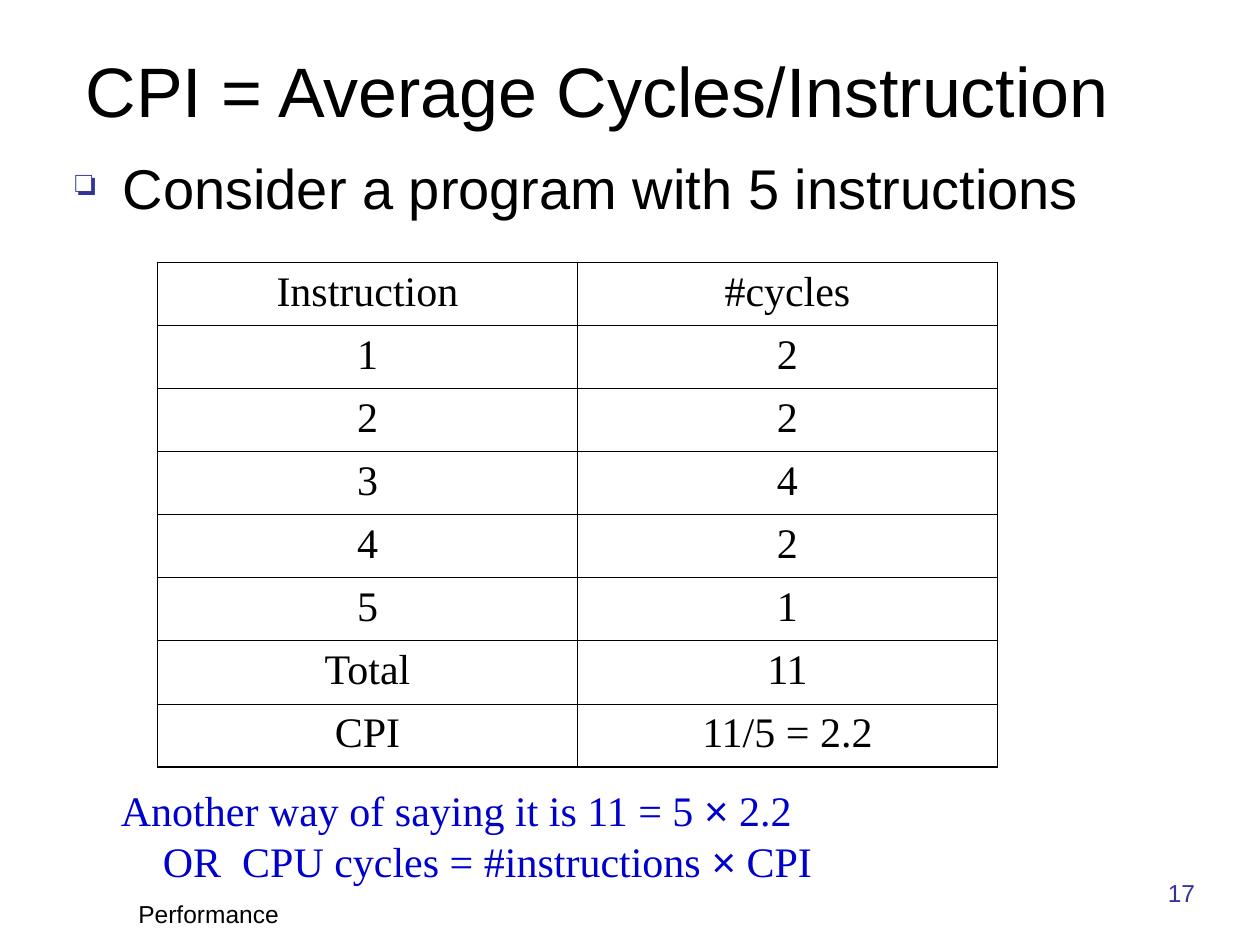
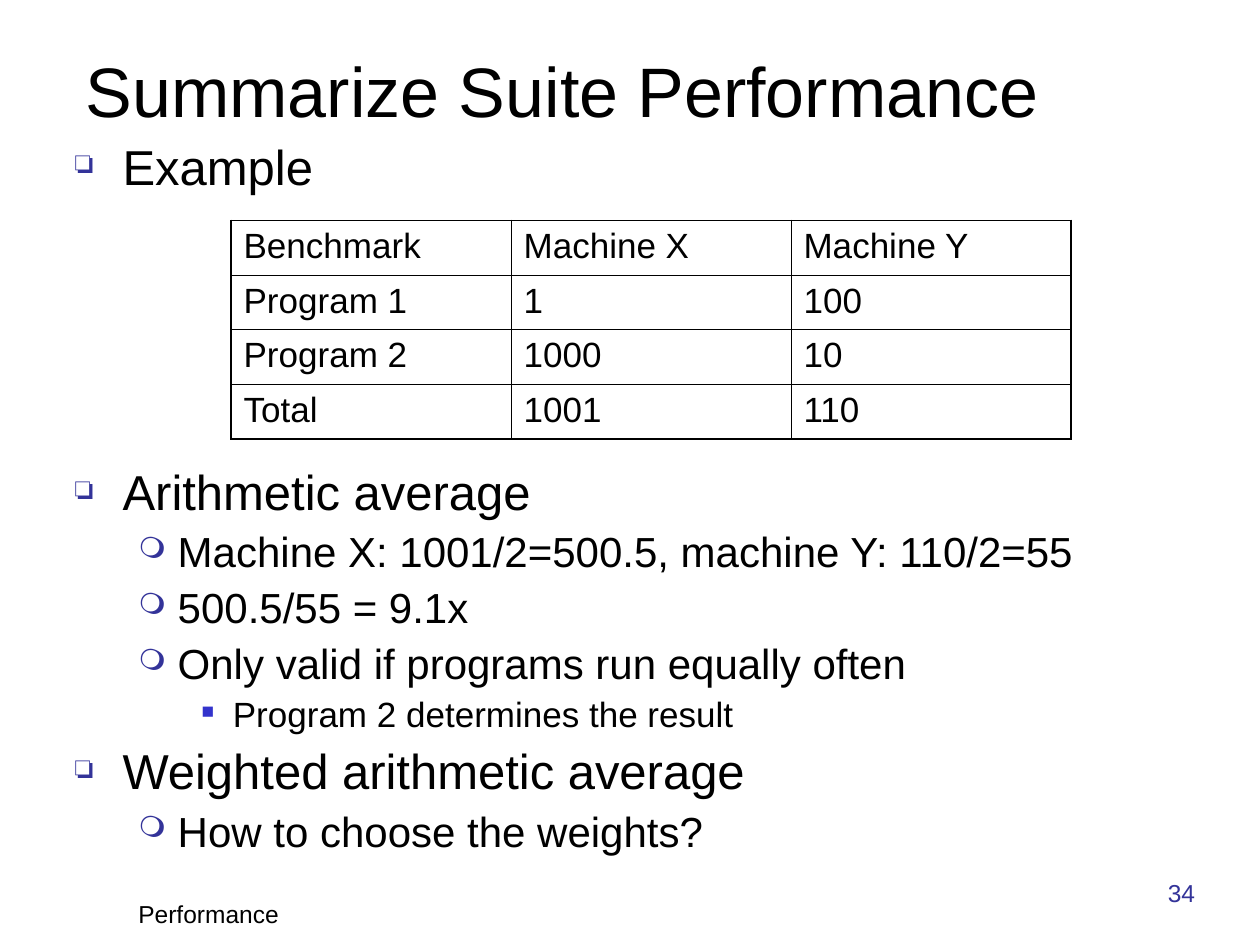
from lxml.etree import SubElement
from pptx import Presentation
from pptx.dml.color import RGBColor
from pptx.enum.text import MSO_ANCHOR, PP_ALIGN
from pptx.oxml.ns import qn
from pptx.util import Pt

BLACK, NAVY, BLUE, BULLET_BLUE = "000000", "333399", "0000CC", "3333CC"
SANS, SERIF = "Arial", "Times New Roman"
OUTER_LINE, INNER_LINE = 1.08, 0.45

# font and paragraph hold attribute values; margin is (left, first line)
# and bullet is (character, colour, percent of text size)
STYLES = {
    "title": {"font": {"size": Pt(40), "name": SANS}},
    "footer": {"font": {"size": Pt(14), "name": SANS}},
    "number": {"font": {"size": Pt(14), "name": SANS}, "color": NAVY,
               "paragraph": {"alignment": PP_ALIGN.RIGHT}},
    "lead": {"font": {"size": Pt(32), "name": SANS},
             "paragraph": {"space_before": Pt(8)},
             "margin": (27, -27), "bullet": ("❏", NAVY, 65)},
    "topic": {"font": {"size": Pt(28), "name": SANS},
              "paragraph": {"space_before": Pt(7), "line_spacing": 0.9},
              "margin": (27, -27), "bullet": ("❏", NAVY, 65)},
    "point": {"font": {"size": Pt(24), "name": SANS},
              "paragraph": {"space_before": Pt(6), "line_spacing": 0.9, "level": 1},
              "margin": (58.5, -22.5), "bullet": ("❍", NAVY, 70)},
    "detail": {"font": {"size": Pt(20), "name": SANS},
               "paragraph": {"space_before": Pt(5), "line_spacing": 0.9, "level": 2},
               "margin": (90, -18), "bullet": ("■", BULLET_BLUE, 50)},
    "note": {"font": {"size": Pt(24), "name": SERIF}, "color": BLUE},
    "note indented": {"font": {"size": Pt(24), "name": SERIF}, "color": BLUE,
                      "margin": (24, 0)},
    "cycles cell": {"font": {"size": Pt(24), "name": SERIF},
                    "paragraph": {"alignment": PP_ALIGN.CENTER}},
    "benchmark cell": {"font": {"size": Pt(20), "name": SANS},
                       "paragraph": {"space_before": Pt(5)}},
}

# each text box is (left, top, width, height) and its (style, text) lines
SLIDES = [
    {
        "title": "CPI = Average Cycles/Instruction",
        "number": "17",
        "texts": [
            ((36, 84, 654, 60), [("lead", "Consider a program with 5 instructions")]),
            ((62, 445, 430, 65), [
                ("note", "Another way of saying it is 11 = 5 × 2.2"),
                ("note indented", "OR  CPU cycles = #instructions × CPI"),
            ]),
        ],
        "table": (90, 150, 480, 288),
        "cell style": "cycles cell",
        "rows": [
            ("Instruction", "#cycles"),
            ("1", "2"),
            ("2", "2"),
            ("3", "4"),
            ("4", "2"),
            ("5", "1"),
            ("Total", "11"),
            ("CPI", "11/5 = 2.2"),
        ],
    },
    {
        "title": "Summarize Suite Performance",
        "number": "34",
        "texts": [
            ((36, 78, 654, 42), [("topic", "Example")]),
            ((36, 264, 654, 234), [
                ("topic", "Arithmetic average"),
                ("point", "Machine X: 1001/2=500.5, machine Y: 110/2=55"),
                ("point", "500.5/55 = 9.1x"),
                ("point", "Only valid if programs run equally often"),
                ("detail", "Program 2 determines the result"),
                ("topic", "Weighted arithmetic average"),
                ("point", "How to choose the weights?"),
            ]),
        ],
        "table": (132, 126, 480, 124.8),
        "cell style": "benchmark cell",
        "rows": [
            ("Benchmark", "Machine X", "Machine Y"),
            ("Program 1", "1", "100"),
            ("Program 2", "1000", "10"),
            ("Total", "1001", "110"),
        ],
    },
]


def write_lines(frame, lines):
    """Fill a text frame with (style, text) lines; a times sign is always sans."""
    for index, (style_name, text) in enumerate(lines):
        style = STYLES[style_name]
        para = frame.add_paragraph() if index else frame.paragraphs[0]
        for name, value in style.get("paragraph", {}).items():
            setattr(para, name, value)
        properties = para._p.get_or_add_pPr()
        if "margin" in style:
            for name, value in zip(("marL", "indent"), style["margin"]):
                properties.set(name, str(Pt(value)))
        if "bullet" in style:
            character, color, percent = style["bullet"]
            bullet_color = SubElement(properties, qn("a:buClr"))
            SubElement(bullet_color, qn("a:srgbClr"), val=color)
            SubElement(properties, qn("a:buSzPct"), val=str(percent * 1000))
            SubElement(properties, qn("a:buChar"), char=character)
        for piece in filter(None, text.partition("×")):
            span = para.add_run()
            span.text = piece
            for name, value in style["font"].items():
                setattr(span.font, name, value)
            if piece == "×":
                span.font.name = SANS
            span.font.color.rgb = RGBColor.from_string(style.get("color", BLACK))


def add_text(page, place, lines, anchor=MSO_ANCHOR.TOP):
    box = page.shapes.add_textbox(*map(Pt, place))
    box.text_frame.word_wrap = True
    box.text_frame.vertical_anchor = anchor
    write_lines(box.text_frame, lines)


deck = Presentation()
deck.slide_width, deck.slide_height = Pt(720), Pt(540)

for content in SLIDES:
    page = deck.slides.add_slide(deck.slide_layouts[6])
    bottom = MSO_ANCHOR.BOTTOM
    add_text(page, (72, 510, 150, 24), [("footer", "Performance")], bottom)
    add_text(page, (600, 498, 90, 24), [("number", content["number"])], bottom)
    add_text(page, (42, 43, 642, 35.5), [("title", content["title"])], bottom)
    for place, lines in content["texts"]:
        add_text(page, place, lines)

    rows = content["rows"]
    last_row, last_column = len(rows) - 1, len(rows[0]) - 1
    table = page.shapes.add_table(len(rows), len(rows[0]), *map(Pt, content["table"])).table
    for row, values in enumerate(rows):
        for column, value in enumerate(values):
            cell = table.cell(row, column)
            write_lines(cell.text_frame, [(content["cell style"], value)])
            outer_sides = {
                "a:lnL": column == 0,
                "a:lnR": column == last_column,
                "a:lnT": row == 0,
                "a:lnB": row == last_row,
            }
            properties = cell._tc.get_or_add_tcPr()
            for side, is_outer in outer_sides.items():
                width = Pt(OUTER_LINE if is_outer else INNER_LINE)
                border = SubElement(properties, qn(side), w=str(width))
                fill = SubElement(border, qn("a:solidFill"))
                SubElement(fill, qn("a:srgbClr"), val=BLACK)
            cell.fill.background()

deck.save("out.pptx")
